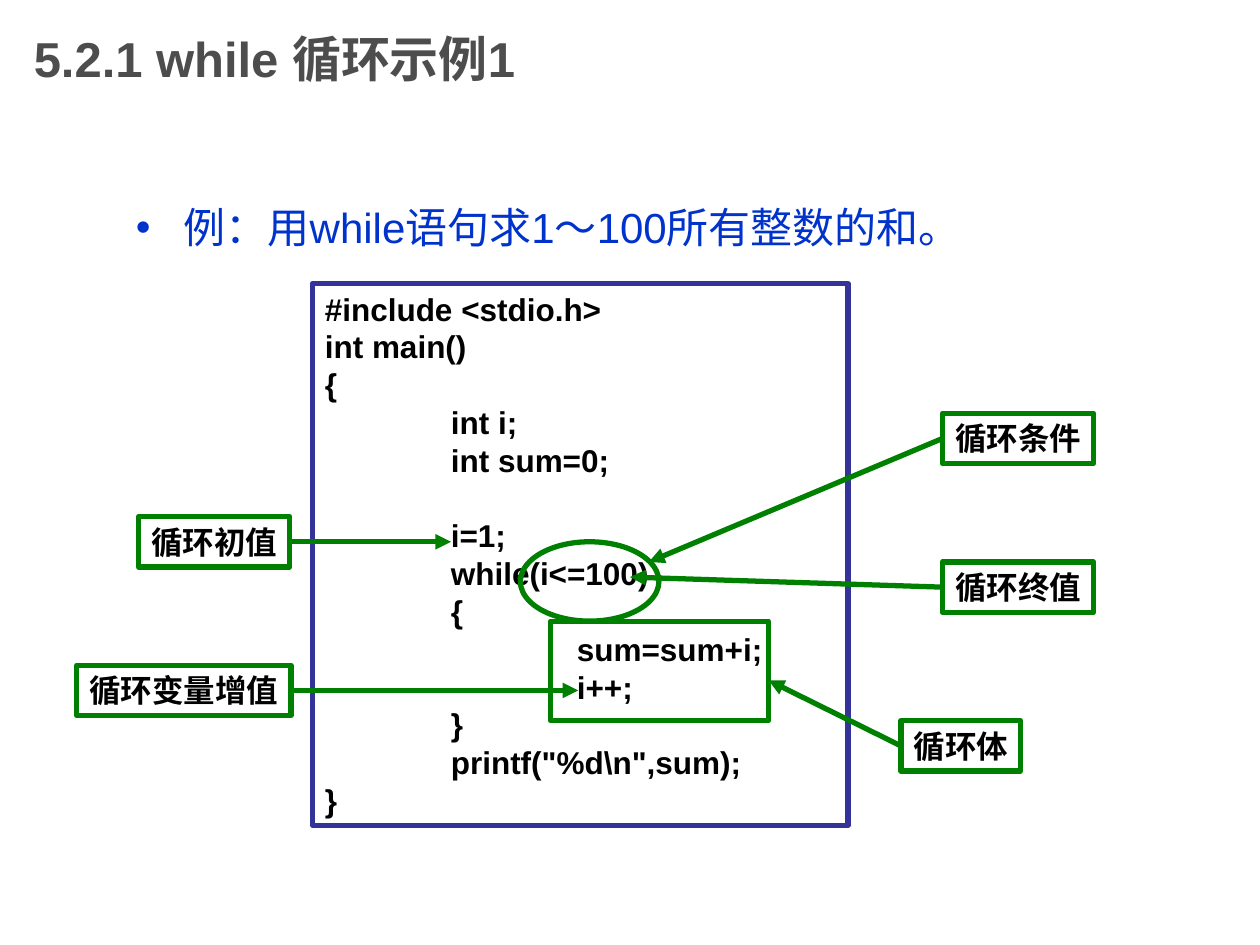
import pptx
import pptx.util
import pptx.dml.color
import pptx.enum.shapes
import pptx.enum.text
import lxml.etree

COLUMNS, ROWS = 100, 75  # grid of tenths of an inch
CELL = pptx.util.Inches(0.1)
COLORS = {"title": "4D4D4D", "task": "0033CC", "frame": "333399",
          "mark": "008000", "text": "000000", "paper": "FFFFFF"}
CODE = r"""#include <stdio.h>
int main()
{
	int i;
	int sum=0;

	i=1;
	while(i<=100)
	{
		sum=sum+i;
		i++;
	}
	printf("%d\n",sum);
}"""
CODE_LEADING = pptx.util.Pt(21.6)
CODE_TAB = pptx.util.Inches(1)
CODE_DEPTH = 2
LABEL_HEIGHT = 4
LEFT_SIDE, RIGHT_SIDE = 1, 3
# text, label column, row and width, side the arrow leaves, arrow tip
LABELS = [
    ("循环终值", 74.8, 44.6, 12, LEFT_SIDE, (50, 45.8)),
    ("循环条件", 74.8, 32.8, 12, LEFT_SIDE, (51.5, 44.6)),
    ("循环体", 71.5, 57.2, 9.5, LEFT_SIDE, (61, 54)),
    ("循环变量增值", 6.1, 52.8, 17, RIGHT_SIDE, (45.9, 54.8)),
    ("循环初值", 11, 41, 12, RIGHT_SIDE, (35.8, 43)),
]


def grid(*cells):
    return [round(cell * CELL) for cell in cells]


def color(name):
    return pptx.dml.color.RGBColor.from_string(COLORS[name])


def drawing_child(parent, tag, **attributes):
    return lxml.etree.SubElement(parent, pptx.oxml.ns.qn("a:" + tag), attributes)


def format_text(para, size, name, bold=True, font="Arial"):
    for span in para.runs:
        span.font.size = pptx.util.Pt(size)
        span.font.name = font
        span.font.bold = bold
        span.font.color.rgb = color(name)


def add_text(page, area, text, size, name, bold):
    box = page.shapes.add_textbox(*grid(*area))
    box.text_frame.word_wrap = True
    para = box.text_frame.paragraphs[0]
    para.text = text
    format_text(para, size, name, bold)
    return box


def add_outline(page, kind, area, line="mark", fill=None):
    shape = page.shapes.add_shape(kind, *grid(*area))
    shape.shadow.inherit = False
    shape.line.color.rgb = color(line)
    shape.line.width = pptx.util.Pt(3)
    if fill:
        shape.fill.solid()
        shape.fill.fore_color.rgb = color(fill)
    else:
        shape.fill.background()
    return shape


def add_bullet(para):
    properties = para._p.get_or_add_pPr()
    indent = pptx.util.Inches(0.38)
    properties.set("marL", str(indent))
    properties.set("indent", str(-indent))
    tint = drawing_child(properties, "buClr")
    drawing_child(tint, "srgbClr", val=COLORS["task"])
    drawing_child(properties, "buFont", typeface="Arial")
    drawing_child(properties, "buChar", char="•")


def add_tab_stops(para):
    stops = drawing_child(para._p.get_or_add_pPr(), "tabLst")
    for depth in range(1, CODE_DEPTH + 1):
        drawing_child(stops, "tab", pos=str(depth * CODE_TAB), algn="l")


def add_code(page, area):
    box = add_outline(page, pptx.enum.shapes.MSO_SHAPE.RECTANGLE, area, "frame", "paper")
    frame = box.text_frame
    frame.vertical_anchor = pptx.enum.text.MSO_ANCHOR.TOP
    # A blank code line becomes space before the line that follows it
    lines = CODE.split("\n")
    frame.text = "\n".join(line for line in lines if line)
    after_gap = lines[lines.index("") + 1]
    for para in frame.paragraphs:
        para.alignment = pptx.enum.text.PP_ALIGN.LEFT
        para.line_spacing = CODE_LEADING
        if para.text == after_gap:
            para.space_before = CODE_LEADING
        add_tab_stops(para)
        format_text(para, 18, "text")


def add_label(page, text, column, row, width):
    area = (column, row, width, LABEL_HEIGHT)
    label = add_outline(page, pptx.enum.shapes.MSO_SHAPE.RECTANGLE, area)
    frame = label.text_frame
    frame.word_wrap = False
    frame.auto_size = pptx.enum.text.MSO_AUTO_SIZE.SHAPE_TO_FIT_TEXT
    frame.vertical_anchor = pptx.enum.text.MSO_ANCHOR.TOP
    para = frame.paragraphs[0]
    para.text = text
    para.alignment = pptx.enum.text.PP_ALIGN.CENTER
    format_text(para, 18, "text", font="Times New Roman")
    return label


def add_arrow(page, label, side, tip):
    arrow = page.shapes.add_connector(
        pptx.enum.shapes.MSO_CONNECTOR.STRAIGHT, label.left, label.top, *grid(*tip))
    arrow.begin_connect(label, side)
    arrow.line.color.rgb = color("mark")
    arrow.line.width = pptx.util.Pt(3)
    drawing_child(arrow.line._get_or_add_ln(), "tailEnd", type="triangle")
    drawing_child(arrow._element.spPr, "effectLst")


def main():
    deck = pptx.Presentation()
    deck.slide_width, deck.slide_height = grid(COLUMNS, ROWS)
    page = deck.slides.add_slide(deck.slide_layouts[6])

    # Title and task
    title = add_text(page, (1.7, 0, 75, 9.2), "5.2.1 while 循环示例1", 28, "title", True)
    title.text_frame.vertical_anchor = pptx.enum.text.MSO_ANCHOR.MIDDLE
    task = add_text(page, (9.8, 15.5, 82.7, 48.3),
                    "例：用while语句求1～100所有整数的和。", 24, "task", False)
    task_line = task.text_frame.paragraphs[0]
    task_line.space_before = pptx.util.Pt(6)
    add_bullet(task_line)

    # Program listing with its marked condition and body
    add_code(page, (24.8, 22.5, 42.5, 43))
    add_outline(page, pptx.enum.shapes.MSO_SHAPE.OVAL, (41.3, 43, 11, 6.3))
    add_outline(page, pptx.enum.shapes.MSO_SHAPE.RECTANGLE, (43.7, 49.3, 17.3, 7.9))

    # Labels pointing into the listing
    for text, column, row, width, side, tip in LABELS:
        label = add_label(page, text, column, row, width)
        add_arrow(page, label, side, tip)

    deck.save("out.pptx")


if __name__ == "__main__":
    main()
